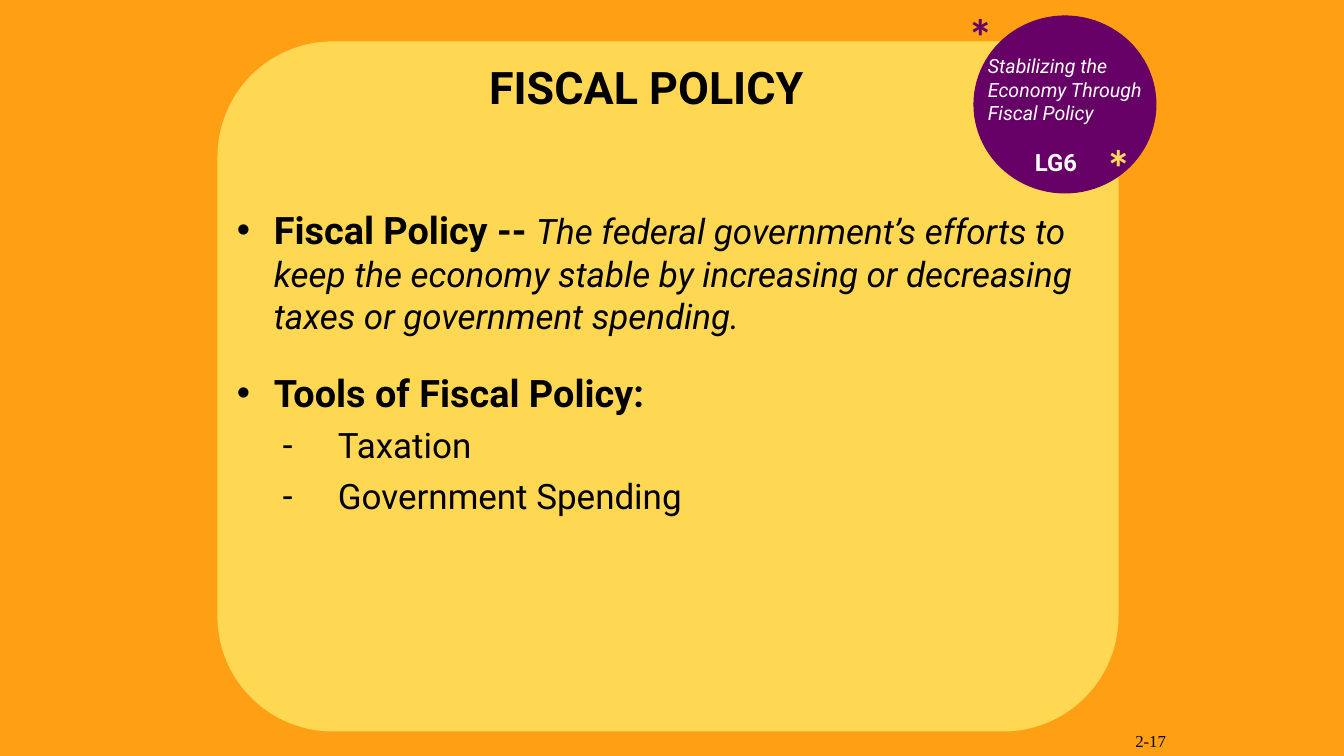
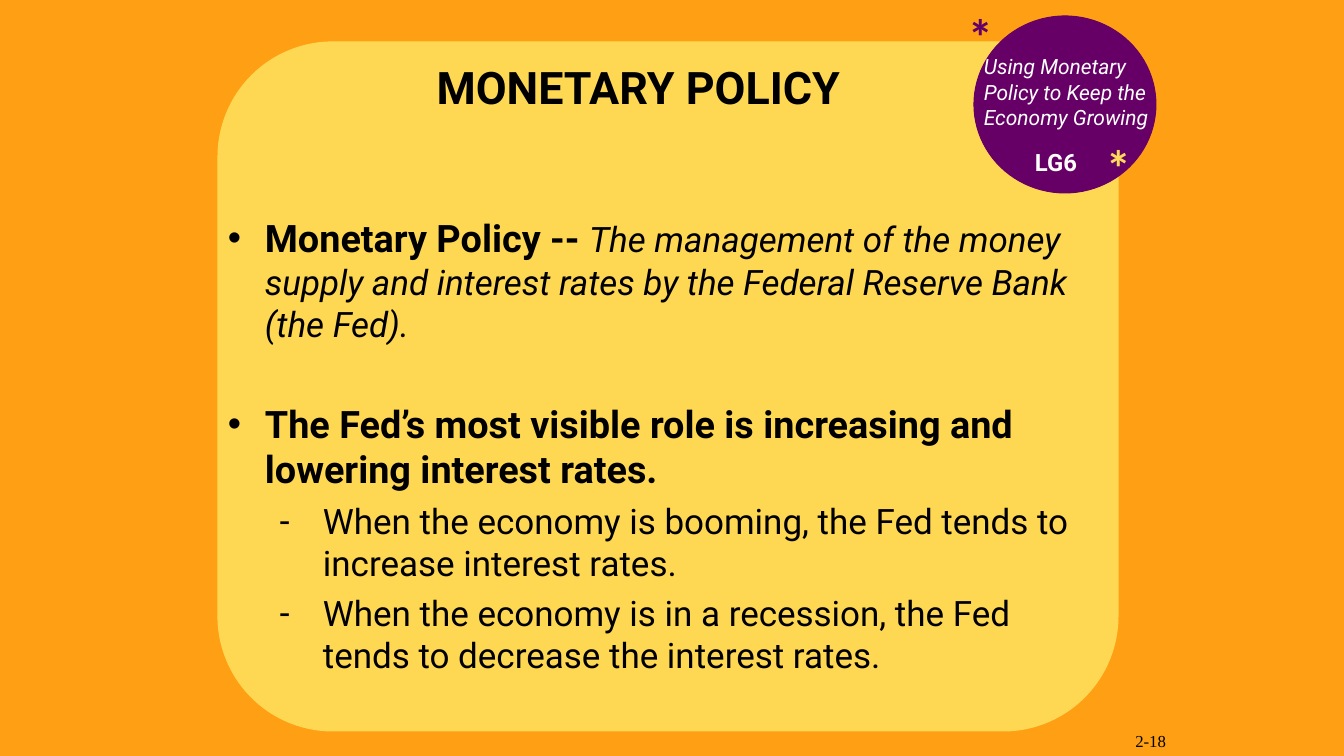
from dataclasses import dataclass

from lxml.etree import SubElement
from pptx import Presentation
from pptx.dml.color import RGBColor
from pptx.enum.shapes import MSO_SHAPE
from pptx.enum.text import MSO_ANCHOR, MSO_AUTO_SIZE, PP_ALIGN
from pptx.oxml.ns import qn
from pptx.util import Emu, Pt

EMU_PER_PIXEL = 914400 / 100.8


@dataclass(frozen=True)
class Theme:
    # Colours
    backdrop: str = "FFA014"
    panel: str = "FFD853"
    badge: str = "660066"
    star: str = "FFD95C"
    ink: str = "000000"
    white: str = "FFFFFF"
    # Fonts
    main_font: str = "Roboto"
    star_font: str = "Calibri"
    number_font: str = "Times New Roman"
    # Type sizes and spacing, in points
    title_size: int = 32
    star_size: int = 36
    term_size: int = 27
    text_size: int = 25
    goal_size: int = 17
    number_size: int = 12
    line_gap: int = 6


THEME = Theme()
TERM_INDENT = (37, 37)


def px(length):
    return Emu(round(length * EMU_PER_PIXEL))


def set_font(font, size, color=THEME.ink, name=THEME.main_font, bold=False, italic=False):
    font.name, font.size = name, Pt(size)
    font.bold, font.italic = bold, italic
    font.color.rgb = RGBColor.from_string(color)


def add_panel(page, kind, frame, color):
    shape = page.shapes.add_shape(kind, *map(px, frame))
    shape.shadow.inherit = False
    shape.fill.solid()
    shape.fill.fore_color.rgb = RGBColor.from_string(color)
    shape.line.color.rgb = RGBColor.from_string(color)
    shape.line.width = Pt(0.75)


def add_box(page, frame):
    box = page.shapes.add_textbox(*map(px, frame))
    box.text_frame.word_wrap = True
    return box.text_frame


def add_label(page, frame, text, size, color=THEME.ink, **style):
    text_frame = add_box(page, frame)
    para = text_frame.paragraphs[0]
    para.text = text
    set_font(para.font, size, color, **style)
    return text_frame


def add_title(page, left, text):
    title = page.shapes.title
    # Bring the title in front of the panel
    title.element.getparent().append(title.element)
    title.left, title.top, title.width, title.height = map(px, (left, 6, 857, 162))
    text_frame = title.text_frame
    text_frame.auto_size = MSO_AUTO_SIZE.NONE
    text_frame.vertical_anchor = MSO_ANCHOR.MIDDLE
    para = text_frame.paragraphs[0]
    para.text = text
    para.alignment = PP_ALIGN.CENTER
    set_font(para.font, THEME.title_size, bold=True)


def set_bullet(para, mark, indent):
    left, hanging = indent
    properties = para._p.get_or_add_pPr()
    properties.set("marL", str(px(left)))
    properties.set("indent", str(-px(hanging)))
    SubElement(properties, qn("a:buFont")).set("typeface", "Arial")
    SubElement(properties, qn("a:buChar")).set("char", mark)


def add_body(page, frame, term, meaning, gap, heading, points, point_level, point_indent):
    text_frame = add_box(page, frame)

    # Term and its definition
    definition = text_frame.paragraphs[0]
    definition.space_after = Pt(gap)
    set_bullet(definition, "•", TERM_INDENT)
    span = definition.add_run()
    span.text = term + " -- "
    set_font(span.font, THEME.term_size, bold=True)
    span = definition.add_run()
    span.text = meaning
    set_font(span.font, THEME.text_size, italic=True)

    # Heading and its points
    rows = [(heading, 0, "•", TERM_INDENT, THEME.term_size)]
    rows += [(point, point_level, "-", point_indent, THEME.text_size) for point in points]
    for text, level, mark, indent, size in rows:
        para = text_frame.add_paragraph()
        para.text = text
        para.level = level
        para.space_before = Pt(THEME.line_gap)
        set_bullet(para, mark, indent)
        set_font(para.font, size, bold=level == 0)


def add_badge(page, frame, topic, size):
    add_panel(page, MSO_SHAPE.OVAL, (974, 16, 182, 177), THEME.badge)
    for star_frame, color in (((1096, 131, 55, 71), THEME.star), ((958, 0, 68, 71), THEME.badge)):
        add_label(page, star_frame, "*", THEME.star_size, color, name=THEME.star_font, bold=True)
    add_label(page, frame, topic, size, THEME.white, italic=True)
    add_label(page, (1025, 143, 76, 38), "LG6", THEME.goal_size, THEME.white, bold=True)


def add_number(page, text):
    text_frame = add_label(page, (966, 706, 210, 50), text, THEME.number_size,
                           name=THEME.number_font)
    text_frame.vertical_anchor = MSO_ANCHOR.BOTTOM
    text_frame.paragraphs[0].alignment = PP_ALIGN.RIGHT


def add_page(deck, title, title_left, badge, body, number):
    page = deck.slides.add_slide(deck.slide_layouts.get_by_name("Title Only"))
    add_panel(page, MSO_SHAPE.ROUNDED_RECTANGLE, (218, 42, 900, 689), THEME.panel)
    add_title(page, title_left, title)
    add_badge(page, **badge)
    add_body(page, **body)
    add_number(page, number)


def main():
    deck = Presentation()
    deck.slide_width, deck.slide_height = px(1344), px(756)
    backdrop = deck.slide_master.background.fill
    backdrop.solid()
    backdrop.fore_color.rgb = RGBColor.from_string(THEME.backdrop)

    # Fiscal policy
    add_page(
        deck, "FISCAL POLICY", 218,
        badge=dict(frame=(978, 49, 206, 82), size=14,
                   topic="Stabilizing the Economy Through Fiscal Policy"),
        body=dict(
            frame=(227, 202, 890, 320),
            term="Fiscal Policy",
            meaning="The federal government’s efforts to keep the economy stable by "
                    "increasing or decreasing taxes or government spending.",
            gap=18,
            heading="Tools of Fiscal Policy:",
            points=["Taxation", "Government Spending"],
            point_level=1, point_indent=(101, 56)),
        number="2-17")

    # Monetary policy
    add_page(
        deck, "MONETARY POLICY", 210,
        badge=dict(frame=(974, 49, 206, 86), size=15,
                   topic="Using Monetary Policy to Keep the Economy Growing"),
        body=dict(
            frame=(218, 210, 874, 479),
            term="Monetary Policy",
            meaning="The management of the money supply and interest rates by the "
                    "Federal Reserve Bank (the Fed).",
            gap=34,
            heading="The Fed’s most visible role is increasing and lowering interest rates.",
            points=["When the economy is booming, the Fed tends to increase interest rates.",
                    "When the economy is in a recession, the Fed tends to decrease the "
                    "interest rates."],
            point_level=2, point_indent=(95, 44)),
        number="2-18")

    deck.save("out.pptx")


main()
